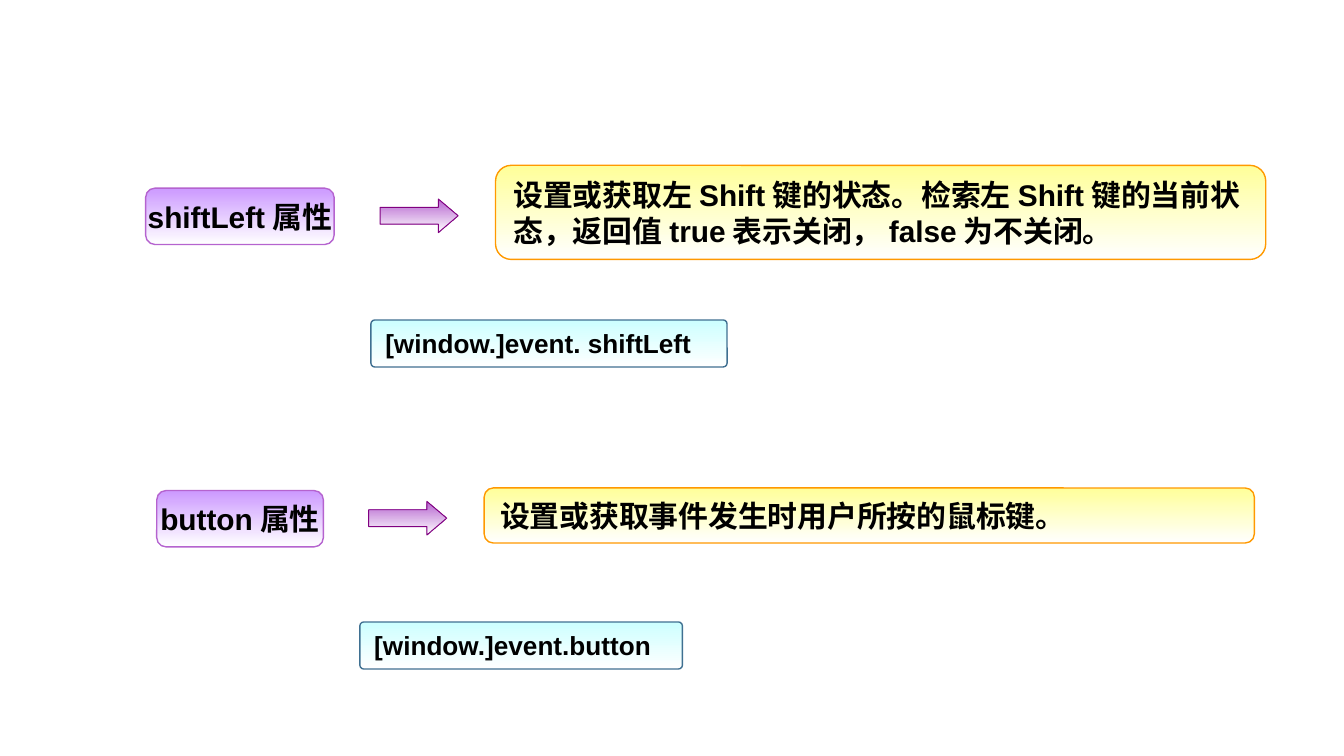
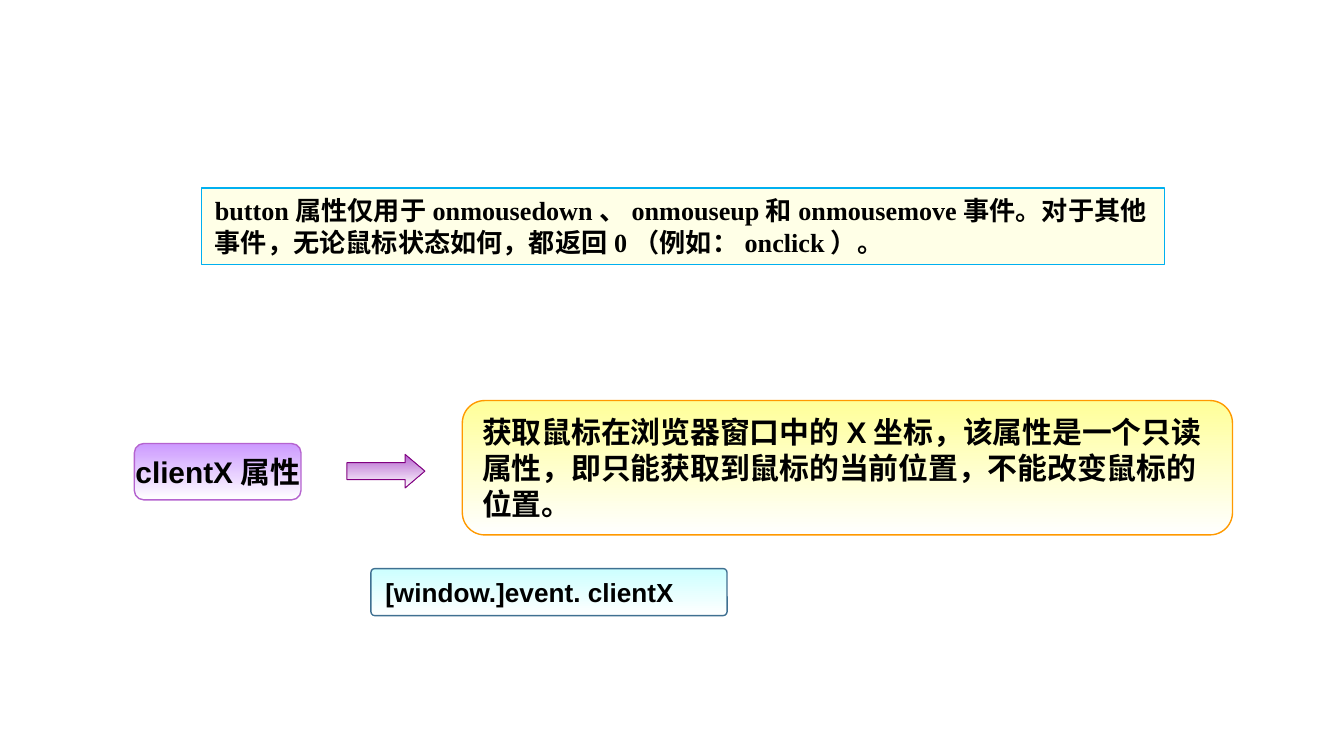
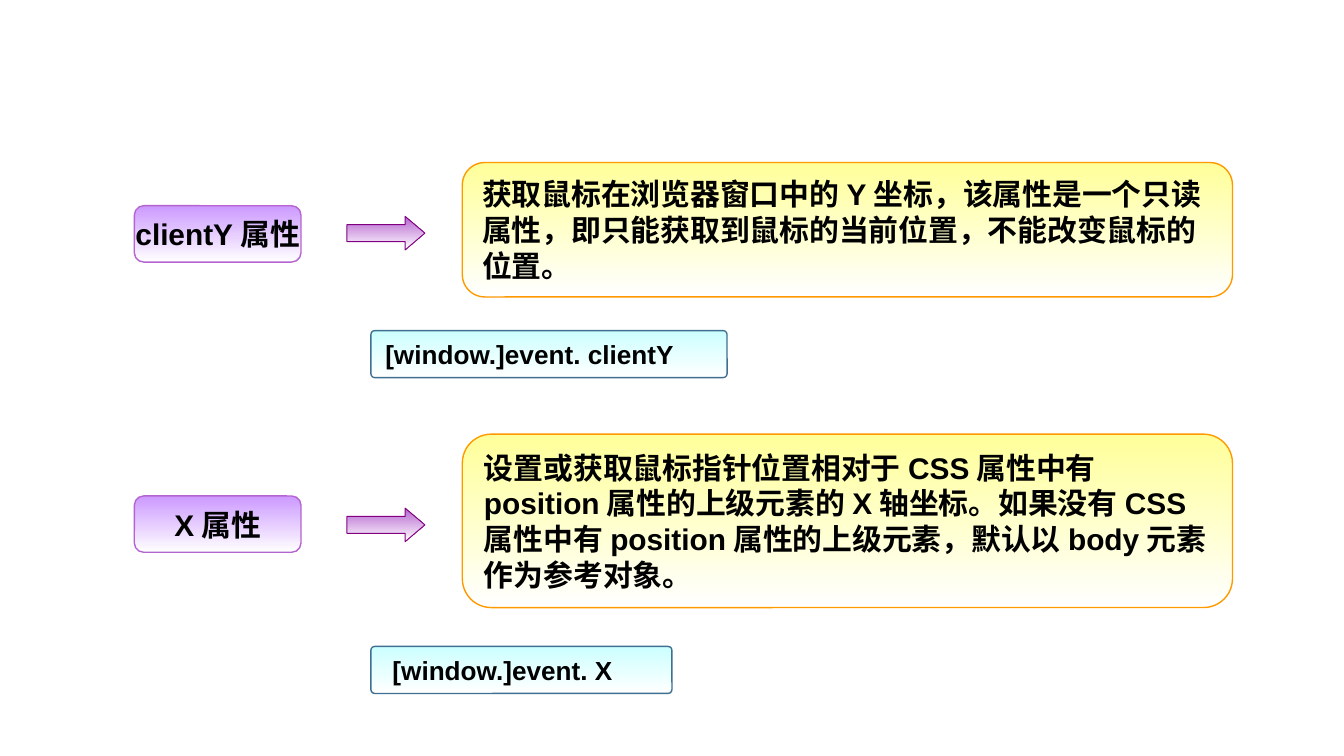
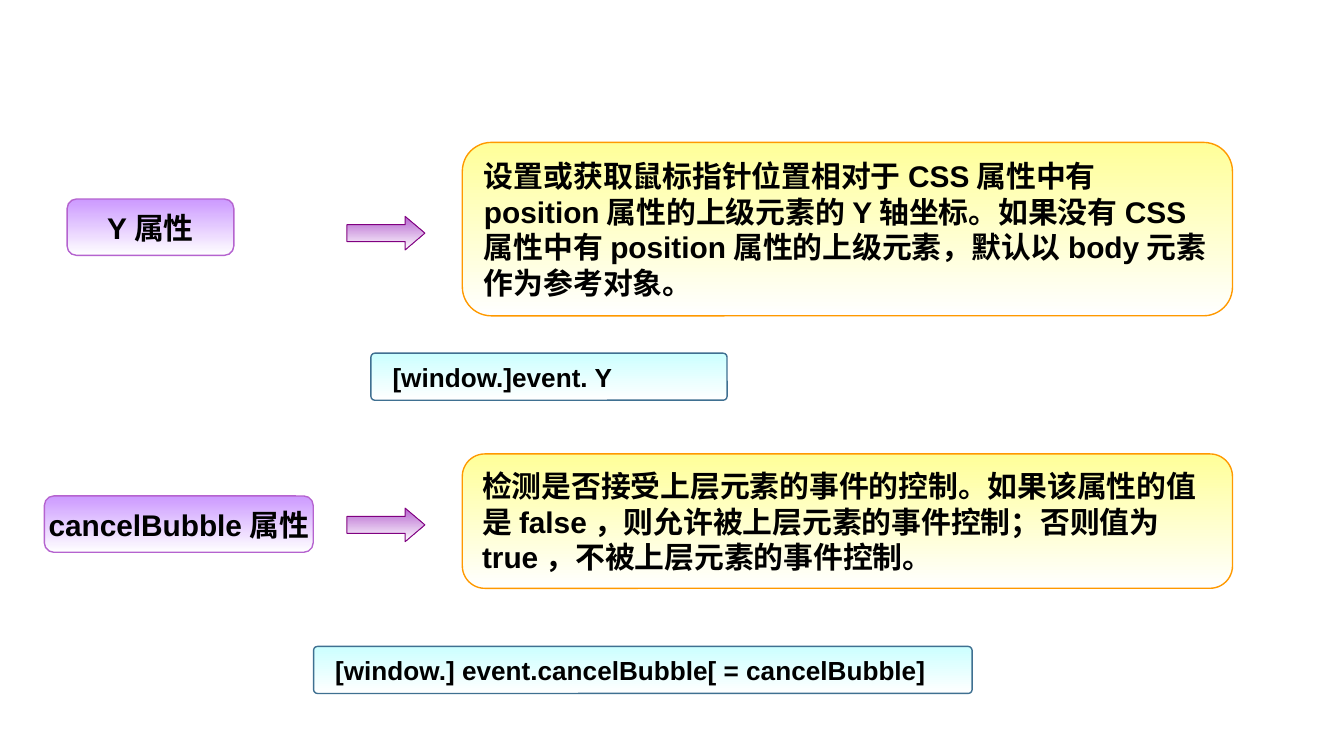
from dataclasses import dataclass

from pptx import Presentation
from pptx.dml.color import RGBColor
from pptx.enum import shapes, text
from pptx.util import Pt

BLACK, WHITE = "000000", "FFFFFF"
SANS, SERIF = "Arial", "Times New Roman"
NAME_H, SYNTAX_H = 30.2, 25.2
DESC_W = 412.6
ARROW_W, ARROW_H = 41.8, 18
ARROW_TO_DESC = 61.9  # from arrow's left edge to description's left edge


@dataclass(frozen=True)
class Style:
    kind: shapes.MSO_SHAPE
    adjustments: tuple[float, ...]
    fill: str
    line: str
    line_width: float = 0.75
    gradient: bool = True


@dataclass(frozen=True)
class Box:
    left: float
    top: float
    width: float
    height: float


@dataclass(frozen=True)
class Property:
    """One event property; its parts are placed in points."""
    name: str
    description: str
    syntax: str
    name_top: float
    desc_top: float
    desc_height: float
    arrow_top: float
    syntax_top: float
    name_left: float = 72
    name_width: float = 89.3
    desc_left: float = 247.7
    syntax_left: float = 198.7
    syntax_width: float = 190.8


@dataclass(frozen=True)
class Note:
    box: Box
    words: str


ROUND = shapes.MSO_SHAPE.ROUNDED_RECTANGLE
NAME = Style(ROUND, (0.167,), "CC99FF", "B563CF")
DESC = Style(ROUND, (0.167,), "FFFF99", "FF9900")
SYNTAX = Style(ROUND, (0.081,), "CCFFFF", "3F7091")
ARROW = Style(shapes.MSO_SHAPE.RIGHT_ARROW, (0.5, 0.588), "B563CF", "800080", 0.5)
NOTE = Style(shapes.MSO_SHAPE.RECTANGLE, (), "FFFFE7", "00B0F0", gradient=False)

CLIENT_TEXT = "获取鼠标在浏览器窗口中的{}坐标，该属性是一个只读属性，即只能获取到鼠标的当前位置，不能改变鼠标的位置。"
AXIS_TEXT = (
    "设置或获取鼠标指针位置相对于CSS属性中有position属性的上级元素的{}轴坐标。"
    "如果没有CSS属性中有position属性的上级元素，默认以body元素作为参考对象。"
)

SLIDES: list[list[Property | Note]] = [
    [
        Property(
            "shiftLeft",
            "设置或获取左Shift键的状态。检索左Shift键的当前状态，返回值true表示关闭，false为不关闭。",
            "[window.]event. shiftLeft",
            name_top=100.8, desc_top=88.6, desc_height=50.4, arrow_top=106.6,
            syntax_top=171.4, name_left=78, name_width=101, desc_left=265.5,
        ),
        Property(
            "button", "设置或获取事件发生时用户所按的鼠标键。", "[window.]event.button",
            name_top=262.8, desc_top=261.4, desc_height=29.5, arrow_top=268.6,
            syntax_top=333.2, name_left=84, desc_left=259.4,
            syntax_left=192.8, syntax_width=172.8,
        ),
    ],
    [
        Note(
            Box(108, 100.8, 516, 41),
            "button属性仅用于onmousedown、onmouseup和onmousemove事件。"
            "对于其他事件，无论鼠标状态如何，都返回0（例如：onclick）。",
        ),
        Property(
            "clientX", CLIENT_TEXT.format("X"), "[window.]event. clientX",
            name_top=237.6, desc_top=214.6, desc_height=72, arrow_top=243.4,
            syntax_top=304.6,
        ),
    ],
    [
        Property(
            "clientY", CLIENT_TEXT.format("Y"), "[window.]event. clientY",
            name_top=110.2, desc_top=87.1, desc_height=72, arrow_top=115.9,
            syntax_top=177.1,
        ),
        Property(
            "X", AXIS_TEXT.format("X"), " [window.]event. X",
            name_top=265.7, desc_top=232.6, desc_height=92.9, arrow_top=272.2,
            syntax_top=346.3, syntax_width=161.3,
        ),
    ],
    [
        Property(
            "Y", AXIS_TEXT.format("Y"), " [window.]event. Y",
            name_top=106.6, desc_top=76.3, desc_height=92.9, arrow_top=115.9,
            syntax_top=189.2, name_left=36,
        ),
        Property(
            "cancelBubble",
            "检测是否接受上层元素的事件的控制。如果该属性的值是false，则允许被上层元素的事件控制；"
            "否则值为true，不被上层元素的事件控制。",
            " [window.] event.cancelBubble[ = cancelBubble]",
            name_top=265.7, desc_top=243.2, desc_height=72, arrow_top=272.2,
            syntax_top=346.3, name_left=23.8, name_width=144,
            syntax_left=168, syntax_width=352.8,
        ),
    ],
]


def rgb(value: str) -> RGBColor:
    return RGBColor.from_string(value)


def add_box(s, box: Box, style: Style):
    sp = s.shapes.add_shape(
        style.kind, Pt(box.left), Pt(box.top), Pt(box.width), Pt(box.height))
    sp.shadow.inherit = False
    for i, value in enumerate(style.adjustments):
        sp.adjustments[i] = value
    if style.gradient:
        sp.fill.gradient()
        sp.fill.gradient_angle = 270  # counter-clockwise, so top to bottom
        for stop, color in zip(sp.fill.gradient_stops, (style.fill, WHITE)):
            stop.color.rgb = rgb(color)
    else:
        sp.fill.solid()
        sp.fill.fore_color.rgb = rgb(style.fill)
    sp.line.color.rgb = rgb(style.line)
    sp.line.width = Pt(style.line_width)
    return sp


def write(sp, *runs: tuple[str, str], size: float = 16, middle: bool = True,
          centred: bool = False, wrap: bool = True) -> None:
    """Fill a shape with one bold paragraph of (words, font) runs."""
    tf = sp.text_frame
    tf.word_wrap = wrap
    tf.auto_size = (text.MSO_AUTO_SIZE.SHAPE_TO_FIT_TEXT if wrap
                    else text.MSO_AUTO_SIZE.NONE)
    tf.vertical_anchor = text.MSO_ANCHOR.MIDDLE if middle else text.MSO_ANCHOR.TOP
    p = tf.paragraphs[0]
    p.alignment = text.PP_ALIGN.CENTER if centred else text.PP_ALIGN.LEFT
    for words, font in runs:
        r = p.add_run()
        r.text = words
        r.font.name = font
        r.font.size = Pt(size)
        r.font.bold = True
        r.font.color.rgb = rgb(BLACK)


def draw_property(s, prop: Property) -> None:
    name = add_box(s, Box(prop.name_left, prop.name_top, prop.name_width, NAME_H), NAME)
    write(name, (prop.name, SANS), ("属性", SERIF), centred=True, wrap=False)
    desc = add_box(s, Box(prop.desc_left, prop.desc_top, DESC_W, prop.desc_height), DESC)
    write(desc, (prop.description, SANS))
    add_box(s, Box(prop.desc_left - ARROW_TO_DESC, prop.arrow_top, ARROW_W, ARROW_H), ARROW)
    syntax = add_box(
        s, Box(prop.syntax_left, prop.syntax_top, prop.syntax_width, SYNTAX_H), SYNTAX)
    write(syntax, (prop.syntax, SANS), size=14, middle=False)


def draw_note(s, note: Note) -> None:
    write(add_box(s, note.box, NOTE), (note.words, SERIF), size=14, middle=False)


def main() -> None:
    prs = Presentation()
    prs.slide_width, prs.slide_height = Pt(720), Pt(405)
    for items in SLIDES:
        s = prs.slides.add_slide(prs.slide_layouts[6])
        for item in items:
            if isinstance(item, Note):
                draw_note(s, item)
            else:
                draw_property(s, item)
    prs.save("out.pptx")


if __name__ == "__main__":
    main()
